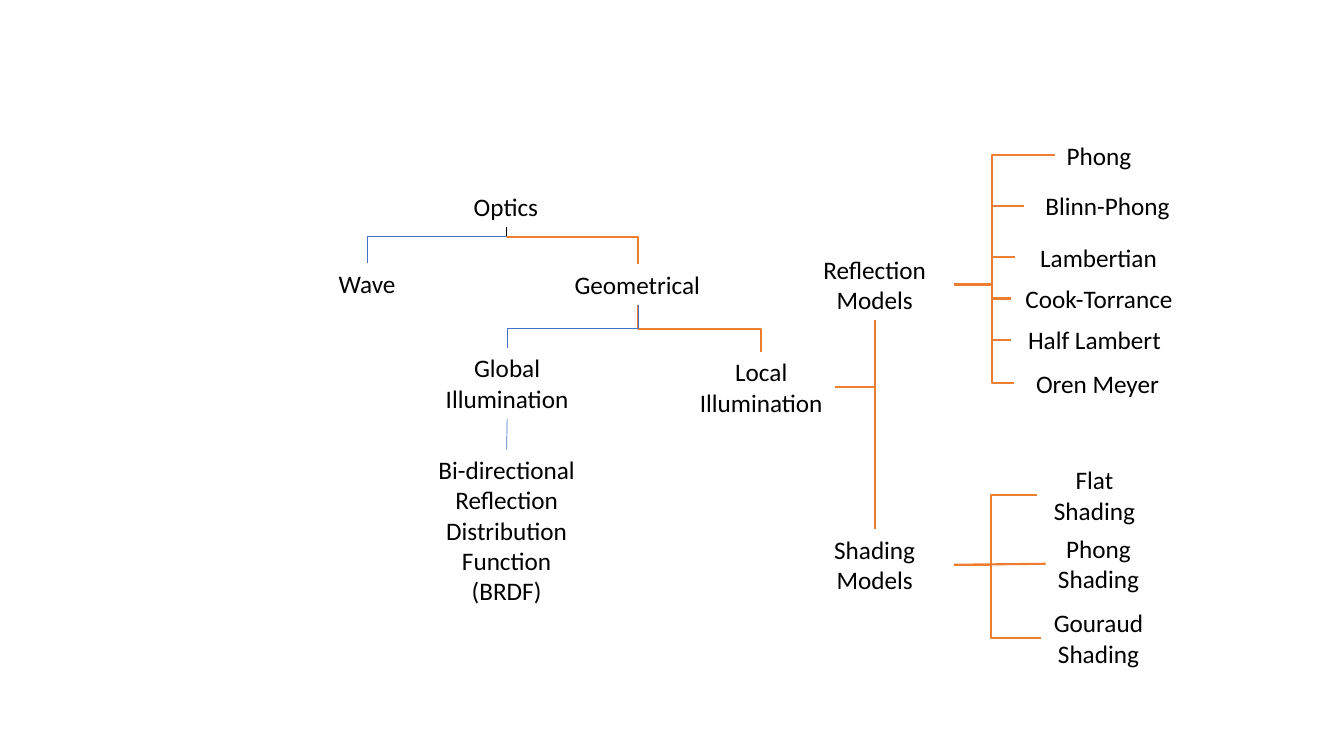
"""Build a tree slide of optics, illumination, reflection and shading models."""
from lxml import etree
from pptx import Presentation
from pptx.dml.color import RGBColor
from pptx.enum.shapes import MSO_CONNECTOR
from pptx.enum.text import MSO_AUTO_SIZE, PP_ALIGN
from pptx.oxml.ns import qn
from pptx.util import Inches, Pt

LINE, ELBOW = MSO_CONNECTOR.STRAIGHT, MSO_CONNECTOR.ELBOW
FIT, LEFT, MID = MSO_AUTO_SIZE.SHAPE_TO_FIT_TEXT, PP_ALIGN.LEFT, PP_ALIGN.CENTER
HEX = {"black": "000000", "blue": "4472C4", "orange": "ED7D31"}
FONT = {"name": "Calibri", "size": Pt(18)}
PAD, ROW = 0.1, 0.303
STEM, FORK = 2.35, 3.26

# text: left, top, width, rows
NODES = {
    "Optics": (4.6, 1.85, 0.85, 1),
    "Geometrical": (5.6, 2.62, 1.46, 1),
    "Wave": (3.26, 2.61, 0.77, 1),
    "Global Illumination": (4.3, 3.45, 1.46, 2),
    "Local Illumination": (6.82, 3.49, 1.46, 2),
    "Bi-directional\nReflection\nDistribution\nFunction\n(BRDF)": (4.24, 4.46, 1.57, 5),
    "Shading Models": (7.89, 5.25, 1.57, 2),
    "Reflection Models": (7.89, 2.47, 1.57, 2),
    "Phong": (10.46, 1.34, 0.88, 1),
    "Blinn-Phong": (10.16, 1.84, 1.65, 1),
    "Lambertian": (10.07, 2.35, 1.65, 1),
    "Half Lambert": (10.03, 3.17, 1.65, 1),
    "Oren Meyer": (10.06, 3.6, 1.65, 1),
    "Cook-Torrance": (10.03, 2.76, 1.74, 1),
    "Phong Shading": (10.37, 5.24, 1.05, 2),
    "Gouraud Shading": (10.33, 5.98, 1.13, 2),
    "Flat Shading": (10.29, 4.56, 1.13, 2),
}
LOOSE = ("Optics", "Geometrical", "Wave")
FANS = {
    "Reflection Models": (9.84, ("Phong", "Blinn-Phong", "Lambertian",
                                 "Cook-Torrance", "Half Lambert", "Oren Meyer")),
    "Shading Models": (9.83, ("Flat Shading", "Gouraud Shading")),
}


def spot(name, across, down):
    """Return the point at the given shares of a node's box."""
    left, top, width, rows = NODES[name]
    return left + width * across, top + (PAD + ROW * rows) * down


def link(start, end, tint, kind=LINE, share=None, corner=False, turn=False):
    """Draw a straight line, a corner or a step; a turned step runs down first."""
    (x1, y1), (x2, y2) = start, end
    if turn:
        midx, midy, run, rise = (x1 + x2) / 2, (y1 + y2) / 2, y2 - y1, x2 - x1
        x1, y1 = midx - run / 2, midy + rise / 2
        x2, y2 = midx + run / 2, midy - rise / 2
    wire = slide.shapes.add_connector(kind, *map(Inches, (x1, y1, x2, y2)))
    wire.line.color.rgb = RGBColor.from_string(HEX[tint])
    wire.line.width = Pt(1.5 if tint == "orange" else 0.5)
    props = wire.element.spPr
    etree.SubElement(props, qn("a:effectLst"))
    shape = props.find(qn("a:prstGeom"))
    if corner:
        shape.set("prst", "bentConnector2")
    if turn:
        props.find(qn("a:xfrm")).set("rot", "5400000")
    if share is not None:
        guides = shape.find(qn("a:avLst"))
        etree.SubElement(guides, qn("a:gd"), name="adj1",
                         fmla=f"val {round(share * 100000)}")


def node(text):
    """Place one text box."""
    left, top, width, rows = NODES[text]
    size = (left, top, width, PAD + ROW * rows)
    frame = slide.shapes.add_textbox(*map(Inches, size)).text_frame
    frame.text = text
    frame.word_wrap = text not in LOOSE
    frame.auto_size = FIT
    for para in frame.paragraphs:
        para.alignment = LEFT if text in LOOSE else MID
        for key, value in FONT.items():
            setattr(para.runs[0].font, key, value)
        para.runs[0].font.color.rgb = RGBColor.from_string(HEX["black"])


deck = Presentation()
deck.slide_width, deck.slide_height = Inches(13.33), Inches(7.5)
slide = deck.slides.add_slide(deck.slide_layouts[6])

for text in NODES:
    node(text)

root = spot("Optics", 0.5, 1)
stem = (root[0], STEM)
link(root, stem, "black")
for name, tint in (("Wave", "blue"), ("Geometrical", "orange")):
    link(stem, spot(name, 0.5, 0), tint, ELBOW, corner=True)

base = spot("Geometrical", 0.5, 1)
for name, tint in (("Local Illumination", "orange"), ("Global Illumination", "blue")):
    tip = spot(name, 0.5, 0)
    link(base, tip, tint, ELBOW, (FORK - base[1]) / (tip[1] - base[1]), turn=True)

side = spot("Local Illumination", 1, 0.5)
for name, down in (("Reflection Models", 1), ("Shading Models", 0)):
    link(side, spot(name, 0.5, down), "orange", ELBOW, corner=True)

for name, (spine, leaves) in FANS.items():
    hub = spot(name, 1, 0.5)
    for leaf in leaves:
        tip = spot(leaf, 0, 0.5)
        link(hub, tip, "orange", ELBOW, (spine - hub[0]) / (tip[0] - hub[0]))

link(spot("Shading Models", 1, 0.5), spot("Phong Shading", 0, 0.5), "orange")
link(spot("Global Illumination", 0.5, 1), (root[0], 4.46), "blue")

deck.save("out.pptx")
